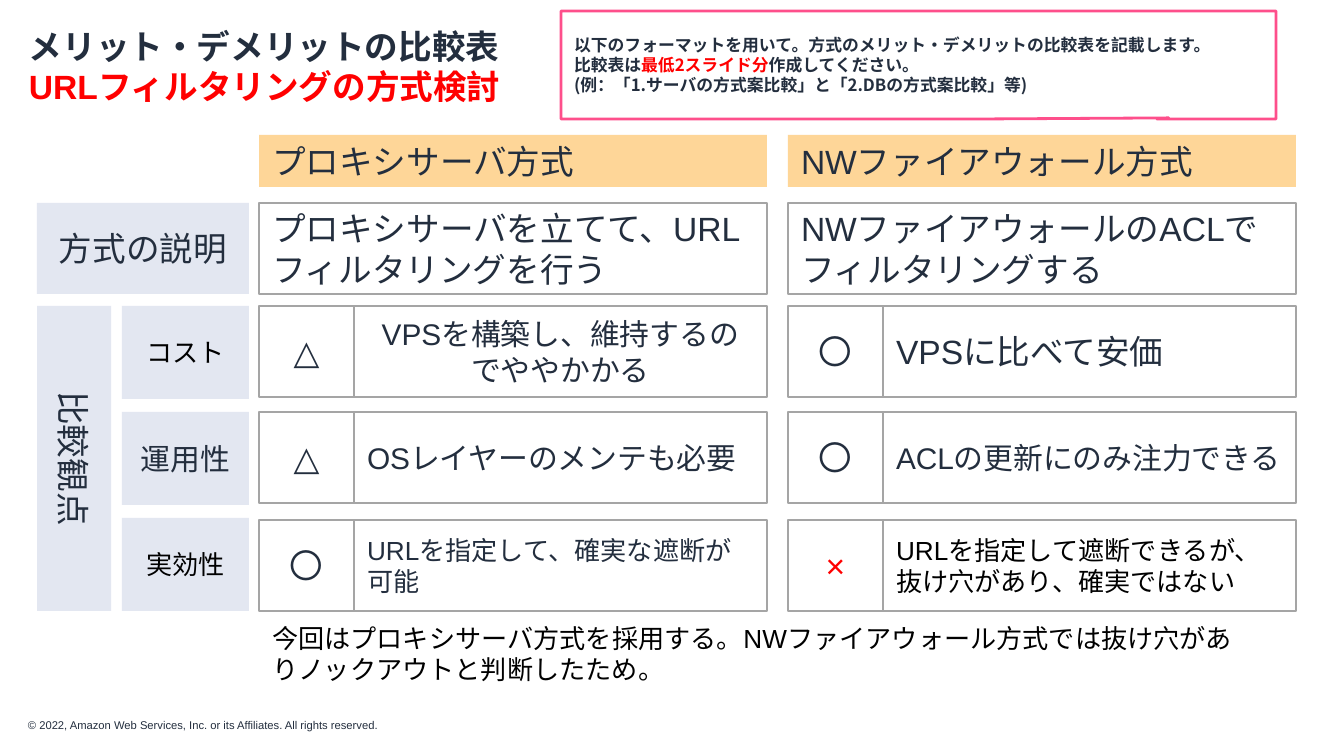
import pptx
import pptx.util
from lxml import etree
from pptx.dml.color import RGBColor
from pptx.enum.shapes import MSO_SHAPE
from pptx.enum.text import MSO_ANCHOR, MSO_AUTO_SIZE, PP_ALIGN
from pptx.oxml.ns import qn

# Content: a paragraph is a list of (text, colour) runs
TITLE = [[("メリット・デメリットの比較表", "ink")],
         [("URLフィルタリングの方式検討", "red")]]
NOTE = [[("以下のフォーマットを用いて。方式のメリット・デメリットの比較表を記載します。", "ink")],
        [("比較表は", "ink"), ("最低2スライド分", "red"),
         ("作成してください。\n(例：「1.サーバの方式案比較」と「2.DBの方式案比較」等)", "ink")]]
METHODS = [("プロキシサーバ方式", "プロキシサーバを立てて、URLフィルタリングを行う"),
           ("NWファイアウォール方式", "NWファイアウォールのACLでフィルタリングする")]
# Criterion, label size, label colour, label top, row top,
# then per method: mark, mark colour, lines, size, colour, alignment
CRITERIA = [
    ("コスト", 14, "black", 306, 306,
     [("△", "ink", ["VPSを構築し、維持するのでややかかる"], 16, "ink", "center"),
      ("〇", "ink", ["VPSに比べて安価"], 18, "ink", "left")]),
    ("運用性", 16, "ink", 412, 412,
     [("△", "ink", ["OSレイヤーのメンテも必要"], 16, "ink", "left"),
      ("〇", "ink", ["ACLの更新にのみ注力できる"], 16, "ink", "left")]),
    ("実効性", 14, "black", 518, 520,
     [("〇", "ink", ["URLを指定して、確実な遮断が可能"], 14, "ink", "left"),
      ("×", "red", ["URLを指定して遮断できるが、", "抜け穴があり、確実ではない"], 14, "black", "left")]),
]
CONCLUSION = "今回はプロキシサーバ方式を採用する。NWファイアウォール方式では抜け穴がありノックアウトと判断したため。"
COPYRIGHT = "© 2022, Amazon Web Services, Inc. or its Affiliates. All rights reserved."

COLORS = {"ink": "232E3E", "red": "FF0000", "black": "000000", "white": "FFFFFF",
          "head": "FED698", "label": "E3E7F1", "border": "A5A5A5", "pink": "FE4F8B"}
ALIGN = {"left": PP_ALIGN.LEFT, "center": PP_ALIGN.CENTER}
JP = "Noto Sans CJK JP"

# Grid in px
COL_X, COL_W, MARK_W = (259, 788), 508, 95
LABEL_X, LABEL_W, LABEL_H = 122, 127, 93
SIDE_X, SIDE_W = 37, 74
HEAD_Y, HEAD_H, DESC_Y, ROW_H = 135, 52, 203, 91


def px(n):
    return round(n * 914400 / 134.4)


def rgb(name):
    return RGBColor.from_string(COLORS[name])


def write(sp, paras, size, align="left", anchor=MSO_ANCHOR.MIDDLE, font="Arial",
          bold=False, margins=(13, 7)):
    tf = sp.text_frame
    mx, my = map(px, margins)
    frame = {"word_wrap": True, "auto_size": MSO_AUTO_SIZE.NONE, "vertical_anchor": anchor,
             "margin_left": mx, "margin_right": mx, "margin_top": my, "margin_bottom": my}
    for key, value in frame.items():
        setattr(tf, key, value)
    for i, runs in enumerate(paras):
        p = tf.add_paragraph() if i else tf.paragraphs[0]
        p.alignment = ALIGN[align]
        for text, color in runs:
            for j, line in enumerate(text.split("\n")):
                if j:
                    p.add_line_break()
                r = p.add_run()
                r.text = line
                for key, value in {"size": pptx.util.Pt(size), "name": font, "bold": bold}.items():
                    setattr(r.font, key, value)
                r.font.color.rgb = rgb(color)
                etree.SubElement(r.font._element, qn("a:ea"), typeface=JP)


def add_box(s, box, fill=None, line=None, line_pt=0.75, kind=MSO_SHAPE.RECTANGLE):
    sp = s.shapes.add_shape(kind, *map(px, box))
    sp.shadow.inherit = False
    if fill:
        sp.fill.solid()
        sp.fill.fore_color.rgb = rgb(fill)
    else:
        sp.fill.background()
    if line:
        sp.line.color.rgb = rgb(line)
        sp.line.width = pptx.util.Pt(line_pt)
    else:
        sp.line.fill.background()
    return sp


def main():
    prs = pptx.Presentation()
    prs.slide_width, prs.slide_height = px(1344), px(756)
    s = prs.slides.add_slide(prs.slide_layouts[5])

    # Title
    title = s.shapes.title
    title.left, title.top, title.width, title.height = map(px, (16, 19, 1251, 81))
    write(title, TITLE, 18, anchor=MSO_ANCHOR.TOP, bold=True)

    # Instruction callout
    note = add_box(s, (561, 11, 715, 108), line="pink", line_pt=1.5,
                   kind=MSO_SHAPE.RECTANGULAR_CALLOUT)
    note.adjustments[0], note.adjustments[1] = 0.35, 0.49
    write(note, NOTE, 9, font=JP, bold=True)

    # Method headings and descriptions
    for x, (name, description) in zip(COL_X, METHODS):
        write(add_box(s, (x, HEAD_Y, COL_W, HEAD_H), "head"), [[(name, "ink")]], 18)
        write(add_box(s, (x, DESC_Y, COL_W, ROW_H), "white", "border"),
              [[(description, "ink")]], 18)

    # Row labels on the left, the tall one turned by 90 degrees
    label_right = LABEL_X + LABEL_W
    write(add_box(s, (SIDE_X, DESC_Y, label_right - SIDE_X, ROW_H), "label"),
          [[("方式の説明", "ink")]], 18, "center")
    top, bottom = CRITERIA[0][3], CRITERIA[-1][3] + LABEL_H
    length = bottom - top
    side = add_box(s, (SIDE_X + (SIDE_W - length) / 2, (top + bottom - SIDE_W) / 2,
                       length, SIDE_W), "label")
    side.rotation = 90
    write(side, [[("比較観点", "ink")]], 18, "center")

    # Criteria rows
    for label, size, color, label_y, y, ratings in CRITERIA:
        write(add_box(s, (LABEL_X, label_y, LABEL_W, LABEL_H), "label"),
              [[(label, color)]], size, "center")
        for x, (mark, mark_color, lines, pt, ink, align) in zip(COL_X, ratings):
            write(add_box(s, (x, y, MARK_W, ROW_H), "white", "border"),
                  [[(mark, mark_color)]], 18, "center")
            write(add_box(s, (x + MARK_W, y, COL_W - MARK_W, ROW_H), "white", "border"),
                  [[(line, ink)] for line in lines], pt, align)

    # Conclusion and copyright line
    write(s.shapes.add_textbox(*map(px, (259, 609, 1005, 90))), [[(CONCLUSION, "black")]], 14,
          anchor=MSO_ANCHOR.TOP, margins=(13, 13))
    write(s.shapes.add_textbox(*map(px, (28, 718, 609, 13))), [[(COPYRIGHT, "ink")]], 6,
          anchor=MSO_ANCHOR.TOP, margins=(0, 0))

    prs.save("out.pptx")


if __name__ == "__main__":
    main()
